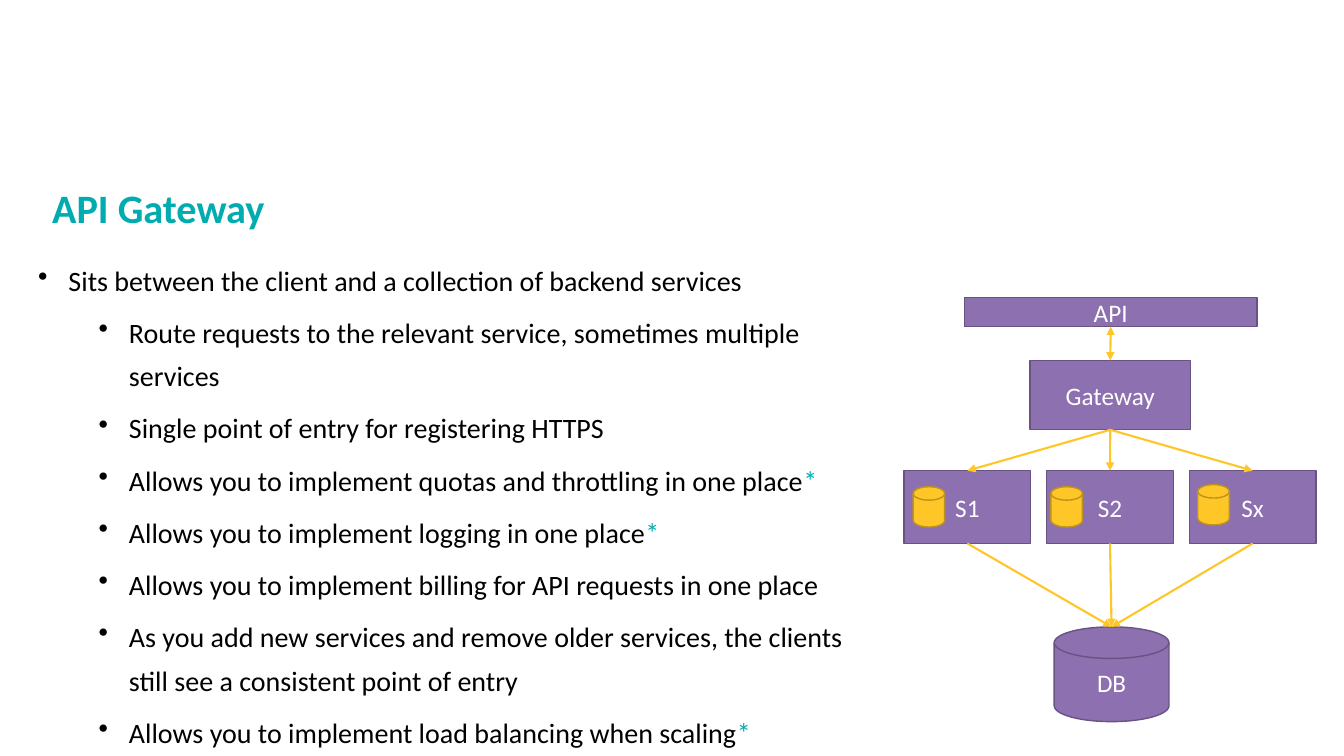
from typing import NamedTuple

from lxml.etree import SubElement
from pptx import Presentation
from pptx.dml.color import RGBColor
from pptx.enum.shapes import MSO_CONNECTOR as Link, MSO_SHAPE as Kind
from pptx.enum.text import MSO_ANCHOR as Anchor, PP_ALIGN as Align
from pptx.oxml.ns import qn
from pptx.util import Pt

FONT = "Calibri"
TEAL, BLACK, WHITE = "00ACAF", "000000", "FFFFFF"
PURPLE, PLUM = "8D70B0", "685382"
GOLD, OCHRE = "FFC627", "BD921D"
TOP, BOTTOM = 0, 2


class Box(NamedTuple):
    left: float
    top: float
    width: float
    height: float
    text: str = ""
    kind: Kind = Kind.RECTANGLE
    fill: str = PURPLE
    edge: str = PLUM


class Service(NamedTuple):
    name: str
    disk_dx: float
    disk_dy: float


class Point(NamedTuple):
    text: str
    level: int = 1
    star: bool = False


POINTS = [
    Point("Sits between the client and a collection of backend services", 0),
    Point("Route requests to the relevant service, sometimes multiple services"),
    Point("Single point of entry for registering HTTPS"),
    Point("Allows you to implement quotas and throttling in one place", star=True),
    Point("Allows you to implement logging in one place", star=True),
    Point("Allows you to implement billing for API requests in one place"),
    Point("As you add new services and remove older services, "
          "the clients still see a consistent point of entry"),
    Point("Allows you to implement load balancing when scaling", star=True),
]
SERVICES = [Service("S1", 6.5, 11.5), Service("S2", 3, 11.5), Service("Sx", 6, 10)]
SERVICE_LEFT, SERVICE_TOP, SERVICE_STEP = 645.8, 336.2, 101.9

API = Box(689, 212.4, 208.8, 20.9, "API")
GATEWAY = Box(735.8, 257.5, 114.5, 49.5, "Gateway")
DB = Box(753, 447.8, 82, 67.7, "DB", Kind.FLOWCHART_MAGNETIC_DISK)


def color(value: str) -> RGBColor:
    return RGBColor.from_string(value)


def add_text(slide, left: float, top: float, width: float, height: float):
    frame = slide.shapes.add_textbox(Pt(left), Pt(top), Pt(width), Pt(height)).text_frame
    frame.word_wrap = True
    return frame


def add_box(slide, box: Box):
    shape = slide.shapes.add_shape(
        box.kind, Pt(box.left), Pt(box.top), Pt(box.width), Pt(box.height))
    shape.shadow.inherit = False
    shape.fill.solid()
    shape.fill.fore_color.rgb = color(box.fill)
    shape.line.color.rgb = color(box.edge)
    shape.line.width = Pt(1)
    if box.text:
        frame = shape.text_frame
        frame.vertical_anchor = Anchor.MIDDLE
        para = frame.paragraphs[0]
        para.text = box.text
        para.alignment = Align.CENTER
        para.font.name, para.font.size = FONT, Pt(18)
        para.font.color.rgb = color(WHITE)
    return shape


def add_arrow(slide, start, end, both: bool = False) -> None:
    """Link the bottom of one shape to the top of another."""
    line = slide.shapes.add_connector(
        Link.STRAIGHT, start.left + start.width // 2, start.top + start.height,
        end.left + end.width // 2, end.top)
    if start.auto_shape_type == Kind.RECTANGLE:
        line.begin_connect(start, BOTTOM)
    if end.auto_shape_type == Kind.RECTANGLE:
        line.end_connect(end, TOP)
    line.line.color.rgb = color(GOLD)
    line.line.width = Pt(1.5)
    props = line._element.spPr
    for tag in ("a:headEnd", "a:tailEnd") if both else ("a:tailEnd",):
        SubElement(props.find(qn("a:ln")), qn(tag), type="triangle")
    SubElement(props, qn("a:effectLst"))


def add_point(para, point: Point) -> None:
    para.level = point.level
    para.line_spacing = Pt(31.2)
    para.space_before = Pt(0 if point.level else 12)
    para.space_after = Pt(6)
    para.font.name, para.font.size = FONT, Pt(20)
    para.font.color.rgb = color(BLACK)
    props = para._p.get_or_add_pPr()
    props.set("marL", str(Pt(64.8 if point.level else 21.6)))
    props.set("indent", str(Pt(-21.6)))
    bullet = SubElement(props, qn("a:buChar"), char="•")
    props.find(qn("a:defRPr")).addprevious(bullet)
    para.add_run().text = point.text
    if point.star:
        star = para.add_run()
        star.text = "*"
        star.font.color.rgb = color(TEAL)


def add_title(slide) -> None:
    frame = add_text(slide, 30.2, 130.3, 828, 39.6)
    frame.vertical_anchor = Anchor.MIDDLE
    para = frame.paragraphs[0]
    para.text = "API Gateway"
    para.line_spacing = 0.9
    para.font.name, para.font.size, para.font.bold = FONT, Pt(28.8), True
    para.font.color.rgb = color(TEAL)


def add_points(slide) -> None:
    frame = add_text(slide, 20.2, 177.1, 599, 291.6)
    for i, point in enumerate(POINTS):
        add_point(frame.add_paragraph() if i else frame.paragraphs[0], point)


def add_diagram(slide) -> None:
    api, gateway = add_box(slide, API), add_box(slide, GATEWAY)
    lefts = [SERVICE_LEFT + i * SERVICE_STEP for i in range(len(SERVICES))]
    nodes = [add_box(slide, Box(left, SERVICE_TOP, 90.4, 52, service.name))
             for left, service in zip(lefts, SERVICES)]
    db = add_box(slide, DB)

    add_arrow(slide, api, gateway, both=True)
    for node in nodes:
        add_arrow(slide, gateway, node)
    for node in nodes:
        add_arrow(slide, node, db)
    for left, service in zip(lefts, SERVICES):
        add_box(slide, Box(left + service.disk_dx, SERVICE_TOP + service.disk_dy,
                           22.5, 28.8, "", Kind.FLOWCHART_MAGNETIC_DISK, GOLD, OCHRE))


def main() -> None:
    deck = Presentation()
    deck.slide_width, deck.slide_height = Pt(960), Pt(540)
    slide = deck.slides.add_slide(deck.slide_layouts[6])
    add_title(slide)
    add_points(slide)
    add_diagram(slide)
    deck.save("out.pptx")


if __name__ == "__main__":
    main()
